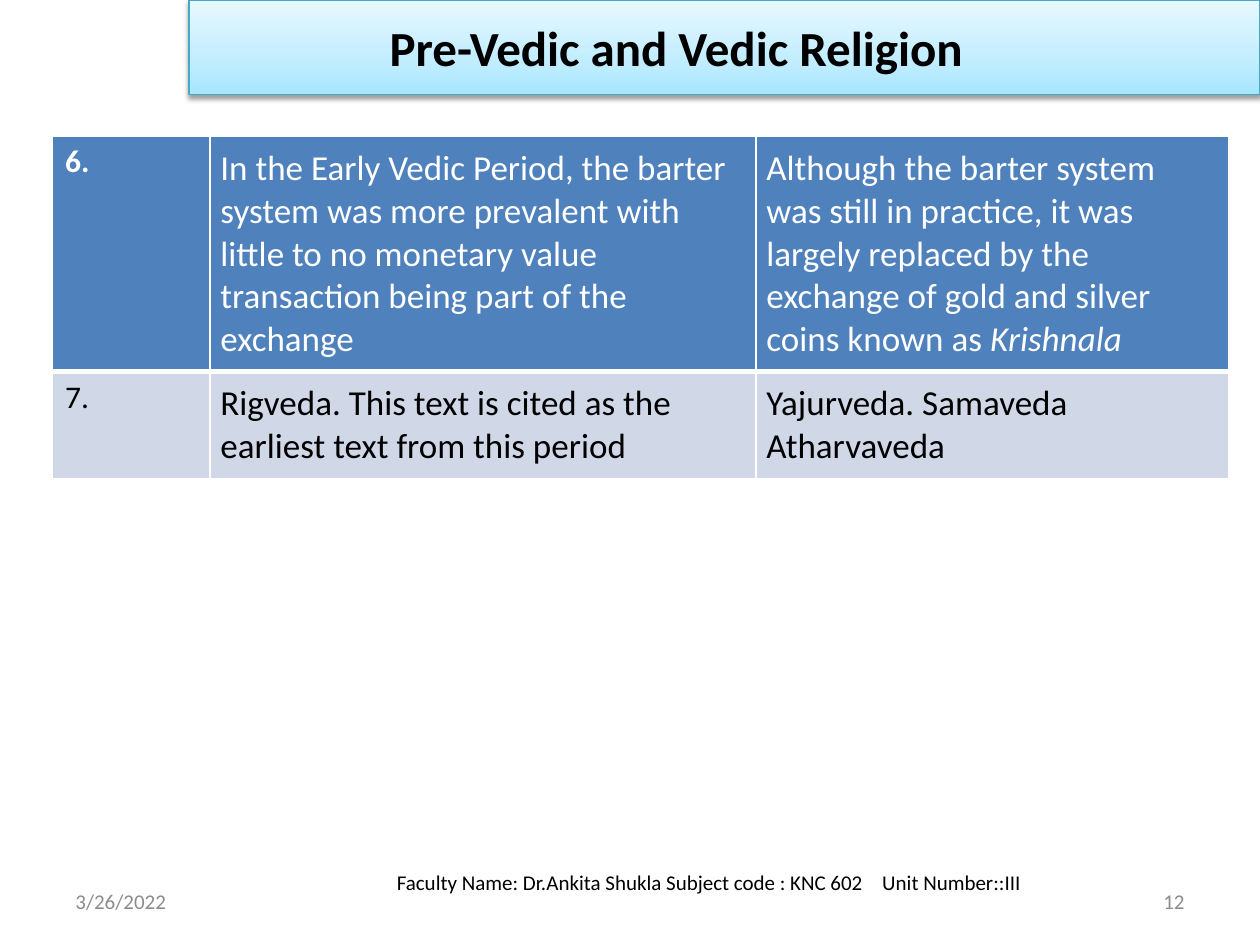
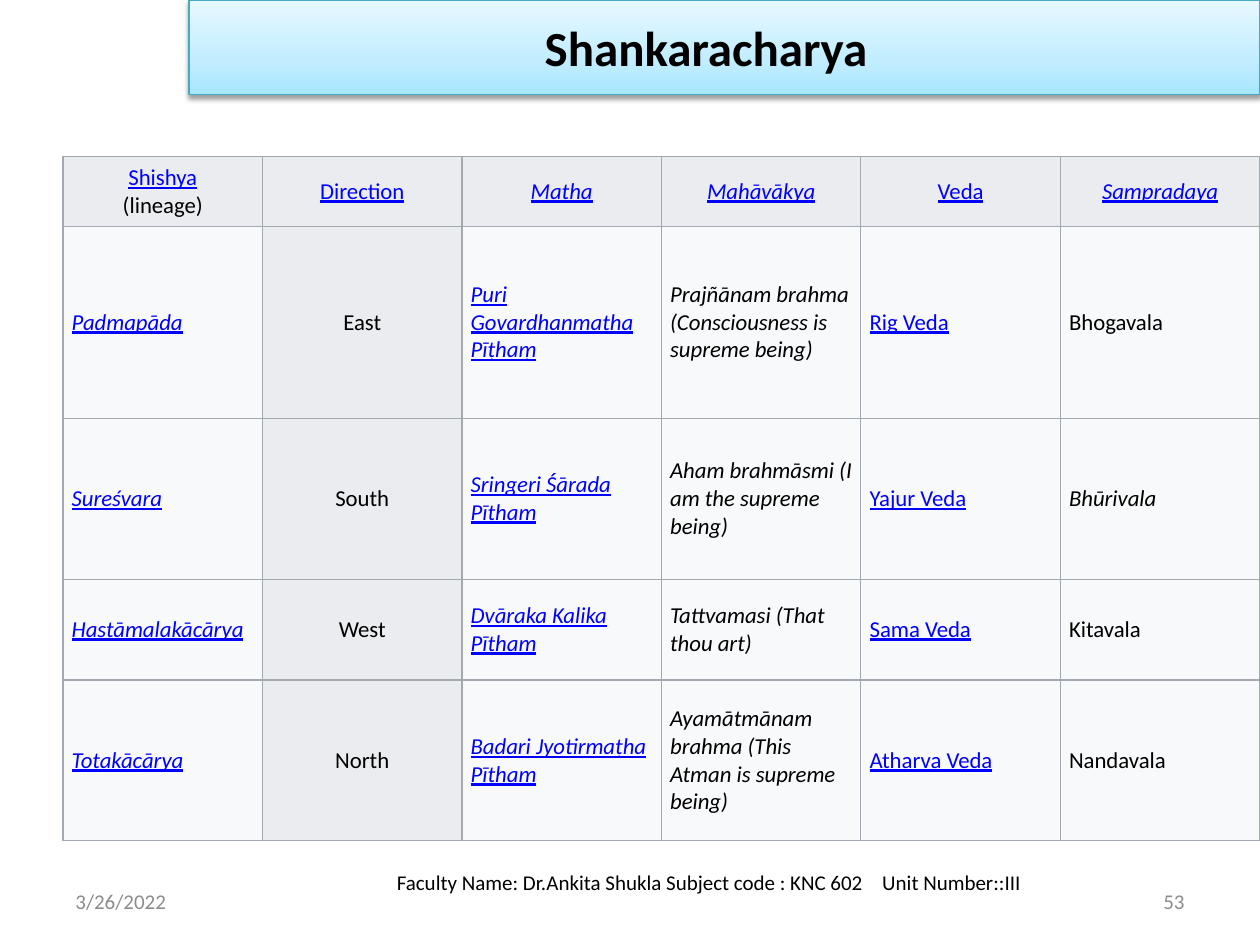
from dataclasses import dataclass

from lxml.etree import SubElement
from pptx import Presentation
from pptx.dml.color import RGBColor as Color
from pptx.enum.shapes import MSO_SHAPE as Shape
from pptx.enum.text import MSO_ANCHOR as Anchor, PP_ALIGN as Align
from pptx.oxml.ns import qn
from pptx.util import Pt


@dataclass(frozen=True)
class Theme:
    font: str = "Calibri"
    black: str = "000000"
    white: str = "FFFFFF"
    muted: str = "8C8C8C"
    link: str = "0000FF"
    banner_stops: tuple = ((0, "A7E6FF"), (35, "C1EDFF"), (100, "E7F8FF"))
    banner_line: str = "46AAC5"
    period_head: str = "4F81BD"
    period_body: str = "D0D8E8"
    grid_head: str = "EAECF0"
    grid_body: str = "F8F9FA"
    grid_line: str = "A2A9B1"
    title_size: float = 28
    period_size: float = 20
    number_size: float = 18
    grid_size: float = 13
    footer_size: float = 12


@dataclass
class Span:
    text: str
    size: float
    color: str
    bold: bool = False
    italic: bool = False
    underline: bool = False
    spacing: float = 0


class PageBuilder:
    def __init__(self, theme):
        self.theme = theme
        self.deck = Presentation()
        self.deck.slide_width, self.deck.slide_height = Pt(720), Pt(540)
        self.page = None

    def new_page(self):
        self.page = self.deck.slides.add_slide(self.deck.slide_layouts[6])

    def add_spans(self, frame, paragraphs, align=Align.LEFT):
        frame.word_wrap = True
        for index, spans in enumerate(paragraphs):
            para = frame.add_paragraph() if index else frame.paragraphs[0]
            para.alignment = align
            for span in spans:
                run = para.add_run()
                run.text = span.text
                font = run.font
                font.name, font.size = self.theme.font, Pt(span.size)
                font.bold, font.italic = span.bold, span.italic
                font.underline = span.underline
                font.color.rgb = Color.from_string(span.color)
                if span.spacing:
                    run._r.get_or_add_rPr().set("spc", str(int(span.spacing * 100)))

    def text(self, left, top, width, height, spans, align=Align.LEFT):
        box = self.page.shapes.add_textbox(Pt(left), Pt(top), Pt(width), Pt(height))
        box.text_frame.vertical_anchor = Anchor.MIDDLE
        self.add_spans(box.text_frame, [spans], align)

    def banner(self, title, indent):
        theme = self.theme
        band = self.page.shapes.add_shape(Shape.RECTANGLE, Pt(108), Pt(0), Pt(612), Pt(54))
        band.shadow.inherit = False
        band.fill.gradient()
        band.fill.gradient_angle = 90
        properties = band._element.spPr
        stops = properties.find(qn("a:gradFill")).find(qn("a:gsLst"))
        stops.clear()
        for position, color in theme.banner_stops:
            stop = SubElement(stops, qn("a:gs"), pos=str(position * 1000))
            SubElement(stop, qn("a:srgbClr"), val=color)
        band.line.color.rgb = Color.from_string(theme.banner_line)
        band.line.width = Pt(0.75)
        shadow = SubElement(
            properties.find(qn("a:effectLst")), qn("a:outerShdw"),
            blurRad=str(Pt(3.1)), dist=str(Pt(1.6)), dir="5400000", rotWithShape="0")
        shade = SubElement(shadow, qn("a:srgbClr"), val=theme.black)
        SubElement(shade, qn("a:alpha"), val="38000")
        frame = band.text_frame
        frame.vertical_anchor = Anchor.MIDDLE
        self.add_spans(frame, [[Span(title, theme.title_size, theme.black, bold=True)]])
        frame.paragraphs[0]._p.get_or_add_pPr().set("marL", str(Pt(indent)))

    def footer(self, number):
        size, black, muted = self.theme.footer_size, self.theme.black, self.theme.muted
        self.text(36, 500.4, 168, 28.8, [Span("3/26/2022", size, muted)])
        self.text(516, 500.4, 168, 28.8, [Span(number, size, muted)], Align.RIGHT)
        course = "Faculty Name: Dr.Ankita Shukla Subject code : KNC 602"
        self.text(150, 480, 510, 48, [
            Span(course, size, black),
            Span(" ", size, black, spacing=8.1),
            Span("Unit Number::III", size, black)], Align.CENTER)

    def table(self, left, top, widths, heights):
        holder = self.page.shapes.add_table(
            len(heights), len(widths), Pt(left), Pt(top), Pt(sum(widths)), Pt(sum(heights)))
        table = holder.table
        table.first_row = table.horz_banding = False
        for column, width in zip(table.columns, widths):
            column.width = Pt(width)
        for row, height in zip(table.rows, heights):
            row.height = Pt(height)
        return table

    def cell(self, cell, paragraphs, fill, line, borders, inset,
             align=Align.LEFT, anchor=Anchor.TOP):
        properties = cell._tc.get_or_add_tcPr()
        for side, width in zip("LRTB", borders):
            edge = SubElement(properties, qn(f"a:ln{side}"), w=str(Pt(width)))
            paint = SubElement(edge, qn("a:solidFill"))
            SubElement(paint, qn("a:srgbClr"), val=line)
        cell.fill.solid()
        cell.fill.fore_color.rgb = Color.from_string(fill)
        across, down = inset
        cell.margin_left = cell.margin_right = Pt(across)
        cell.margin_top = cell.margin_bottom = Pt(down)
        cell.vertical_anchor = anchor
        self.add_spans(cell.text_frame, paragraphs, align)


def vedic_periods(builder):
    theme = builder.theme
    builder.new_page()
    rows = [
        ("6.",
         [["In the Early Vedic Period, the barter system was more prevalent with little "
           "to no monetary value transaction being part of the exchange"]],
         [["Although the barter system was still in practice, it was largely replaced by "
           "the exchange of gold and silver coins known as ", "Krishnala"]]),
        ("7.",
         [["Rigveda. This text is cited as the earliest text from this period"]],
         [["Yajurveda. Samaveda"], ["Atharvaveda"]]),
    ]
    looks = [
        (theme.period_head, theme.white, (1, 1, 1, 3)),
        (theme.period_body, theme.black, (1, 1, 3, 1)),
    ]
    table = builder.table(30, 78, [90, 312, 270], [134, 61])
    for r, ((number, *periods), (fill, color, borders)) in enumerate(zip(rows, looks)):
        label = [[Span(number, theme.number_size, color, bold=r == 0)]]
        builder.cell(table.cell(r, 0), label, fill, theme.white, borders, (7.2, 3.6))
        for c, period in enumerate(periods, 1):
            paragraphs = [
                [Span(words, theme.period_size, color, italic=words == "Krishnala")
                 for words in line] for line in period]
            builder.cell(table.cell(r, c), paragraphs, fill, theme.white, borders, (6, 6))
    builder.banner("Pre-Vedic and Vedic Religion", 107.6)
    builder.footer("12")


def shankaracharya(builder):
    theme = builder.theme
    builder.new_page()
    builder.footer("53")
    builder.banner("Shankaracharya", 196.2)
    rows = [
        ("Shishya", "Direction", "Maṭha", "Mahāvākya", "Veda", "Sampradaya"),
        ("Padmapāda", "East", "Puri Govardhanmaṭha Pīṭhaṃ",
         "Prajñānam brahma (Consciousness is supreme being)", "Rig Veda", "Bhogavala"),
        ("Sureśvara", "South", "Sringeri Śārada Pīṭhaṃ",
         "Aham brahmāsmi (I am the supreme being)", "Yajur Veda", "Bhūrivala"),
        ("Hastāmalakācārya", "West", "Dvāraka Kalika Pīṭhaṃ",
         "Tattvamasi (That thou art)", "Sama Veda", "Kitavala"),
        ("Toṭakācārya", "North", "Badari Jyotirmaṭha Pīṭhaṃ",
         "Ayamātmānam brahma (This Atman is supreme being)", "Atharva Veda", "Nandavala"),
    ]
    direction = 1
    linked_columns = {0, 2, 4}
    italic_columns = {0, 2, 3}
    italic_heads = {2, 3, 5}
    table = builder.table(36, 89.3, [114] * 6, [40.3, 109.4, 92, 57.6, 92])
    for r, row in enumerate(rows):
        for c, words in enumerate(row):
            head = r == 0
            linked = head or c in linked_columns
            italic = c in (italic_heads if head else italic_columns) or words == "Bhūrivala"
            color = theme.link if linked else theme.black
            paragraphs = [[Span(words, theme.grid_size, color, italic=italic, underline=linked)]]
            if words == "Shishya":
                paragraphs.append([Span("(lineage)", theme.grid_size, theme.black)])
            shaded = head or c == direction
            builder.cell(
                table.cell(r, c), paragraphs,
                theme.grid_head if shaded else theme.grid_body,
                theme.grid_line, (0.75,) * 4, (5, 3),
                Align.CENTER if shaded else Align.LEFT, Anchor.MIDDLE)


def main():
    builder = PageBuilder(Theme())
    vedic_periods(builder)
    shankaracharya(builder)
    builder.deck.save("out.pptx")


if __name__ == "__main__":
    main()
